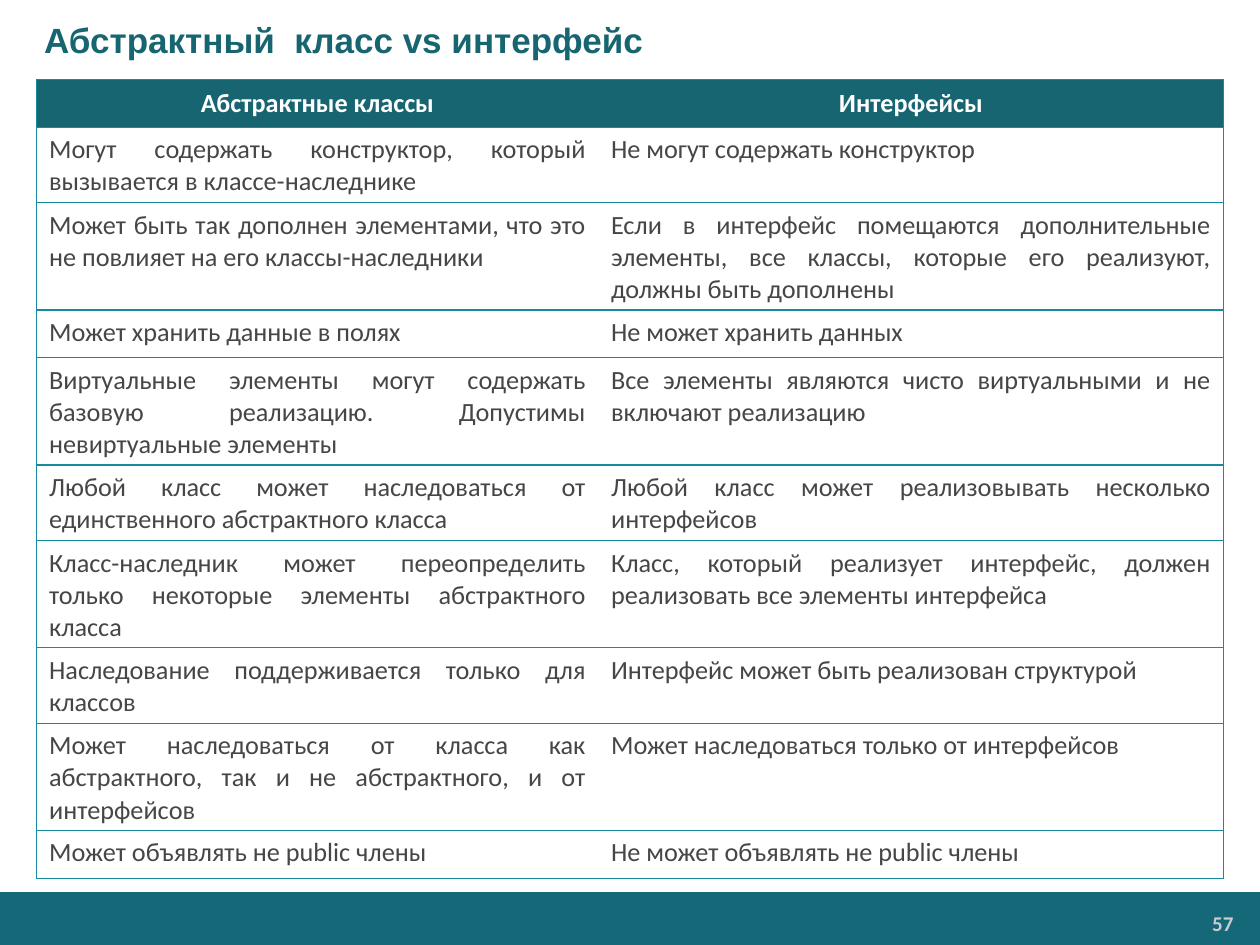
from dataclasses import dataclass

from lxml import etree
from pptx import Presentation
from pptx.dml.color import RGBColor
from pptx.enum.shapes import MSO_SHAPE
from pptx.enum.text import MSO_ANCHOR, MSO_AUTO_SIZE, PP_ALIGN
from pptx.oxml.ns import qn
from pptx.util import Inches, Pt

RECT = MSO_SHAPE.RECTANGLE
MIDDLE, TOP = MSO_ANCHOR.MIDDLE, MSO_ANCHOR.TOP
NO_FIT = MSO_AUTO_SIZE.NONE
LEFT, CENTER, RIGHT, JUSTIFY = PP_ALIGN.LEFT, PP_ALIGN.CENTER, PP_ALIGN.RIGHT, PP_ALIGN.JUSTIFY


@dataclass(frozen=True)
class Theme:
    """Colours, fonts and type sizes of the slide."""
    teal: str = "176571"
    bar: str = "146878"
    border: str = "178AA0"
    text: str = "464547"
    white: str = "FFFFFF"
    number: str = "CCCCCC"
    title_font: str = "Arial"
    body_font: str = "Calibri"
    title_size: int = 20
    body_size: int = 15
    number_size: int = 12
    border_width: float = 0.75


THEME = Theme()
WIDTH, HEIGHT = Inches(10), Inches(7.5)
TITLE = "Абстрактный  класс vs интерфейс"
HEADERS = ("Абстрактные классы", "Интерфейсы")
COLUMN_WIDTHS = (4.46, 4.96)
ROW_HEIGHTS = {1: 0.38, 2: 0.58, 3: 0.83}
ROWS = [
    (2, "Могут содержать конструктор, который вызывается в классе-наследнике",
     "Не могут содержать конструктор"),
    (3, "Может быть так дополнен элементами, что это не повлияет на его классы-наследники",
     "Если в интерфейс помещаются дополнительные элементы, все классы, "
     "которые его реализуют, должны быть дополнены"),
    (1, "Может хранить данные в полях", "Не может хранить данных"),
    (3, "Виртуальные элементы могут содержать базовую реализацию. "
     "Допустимы невиртуальные элементы",
     "Все элементы являются чисто виртуальными и не включают реализацию"),
    (2, "Любой класс может наследоваться от единственного абстрактного класса",
     "Любой класс может реализовывать несколько интерфейсов"),
    (3, "Класс-наследник может переопределить только некоторые элементы абстрактного класса",
     "Класс, который реализует интерфейс, должен реализовать все элементы интерфейса"),
    (2, "Наследование поддерживается только для классов",
     "Интерфейс может быть реализован структурой"),
    (3, "Может наследоваться от класса как абстрактного, так и не абстрактного, "
     "и от интерфейсов", "Может наследоваться только от интерфейсов"),
    (1, "Может объявлять не public члены", "Не может объявлять не public члены"),
]


def apply(target, values):
    """Set every attribute named in a dict."""
    for name, value in values.items():
        setattr(target, name, value)


def write(tf, text, align, size, color, bold=True, name=THEME.body_font):
    """Write one formatted paragraph into a text frame."""
    p = tf.paragraphs[0]
    p.alignment = align
    r = p.add_run()
    r.text = text
    apply(r.font, {"size": Pt(size), "bold": bold, "name": name})
    r.font.color.rgb = RGBColor.from_string(color)
    return p


def add_title(s):
    """Fill the title placeholder across the top of the slide."""
    sp = s.shapes.title
    apply(sp, {"left": 0, "top": 0, "width": WIDTH, "height": Inches(0.63)})
    apply(sp.text_frame, {"vertical_anchor": MIDDLE, "auto_size": NO_FIT, "word_wrap": True})
    p = write(sp.text_frame, TITLE, LEFT, THEME.title_size, THEME.teal, name=THEME.title_font)
    p._p.get_or_add_pPr().set("marL", str(Inches(0.25)))


def add_footer(s, number):
    """Draw the bottom bar with the slide number."""
    top = Inches(7.08)
    sp = s.shapes.add_shape(RECT, 0, top, WIDTH, HEIGHT - top)
    sp.shadow.inherit = False
    sp.fill.solid()
    sp.fill.fore_color.rgb = RGBColor.from_string(THEME.bar)
    sp.line.fill.background()
    tf = s.shapes.add_textbox(Inches(8.23), Inches(7.19), Inches(1.63), Inches(0.28)).text_frame
    apply(tf, {"word_wrap": True, "margin_left": Inches(0.07), "margin_right": Inches(0.07),
               "margin_top": Inches(0.04), "margin_bottom": Inches(0.04)})
    write(tf, number, RIGHT, THEME.number_size, THEME.number)


def set_borders(cell, hidden):
    """Line every side of a cell except the hidden one."""
    tc_pr = cell._tc.get_or_add_tcPr()
    for side in ("lnL", "lnR", "lnT", "lnB"):
        ln = etree.SubElement(tc_pr, qn(f"a:{side}"), w=str(Pt(THEME.border_width)))
        if side == hidden:
            etree.SubElement(ln, qn("a:noFill"))
        else:
            fill = etree.SubElement(ln, qn("a:solidFill"))
            etree.SubElement(fill, qn("a:srgbClr"), val=THEME.border)


def fill_cell(cell, text, column, header):
    """Format one header or body cell."""
    set_borders(cell, "lnL" if column else "lnR")
    if header:
        cell.fill.solid()
        cell.fill.fore_color.rgb = RGBColor.from_string(THEME.teal)
    else:
        cell.fill.background()
    cell.vertical_anchor = MIDDLE if header else TOP
    write(cell.text_frame, text, CENTER if header else JUSTIFY, THEME.body_size,
          THEME.white if header else THEME.text, header)


def add_comparison(s):
    """Add the two-column comparison table."""
    rows = [(1, *HEADERS), *ROWS]
    heights = [Inches(ROW_HEIGHTS[lines]) for lines, *_ in rows]
    table = s.shapes.add_table(len(rows), len(HEADERS), Inches(0.29), Inches(0.63),
                               Inches(sum(COLUMN_WIDTHS)), sum(heights)).table
    table.horz_banding = False
    for column, width in zip(table.columns, COLUMN_WIDTHS):
        column.width = Inches(width)
    for i, (_, *texts) in enumerate(rows):
        table.rows[i].height = heights[i]
        for j, text in enumerate(texts):
            fill_cell(table.cell(i, j), text, j, i == 0)


def main():
    """Build and save the slide."""
    prs = Presentation()
    apply(prs, {"slide_width": WIDTH, "slide_height": HEIGHT})
    s = prs.slides.add_slide(prs.slide_layouts[5])
    add_footer(s, "57")
    add_title(s)
    add_comparison(s)
    prs.save("out.pptx")


if __name__ == "__main__":
    main()
